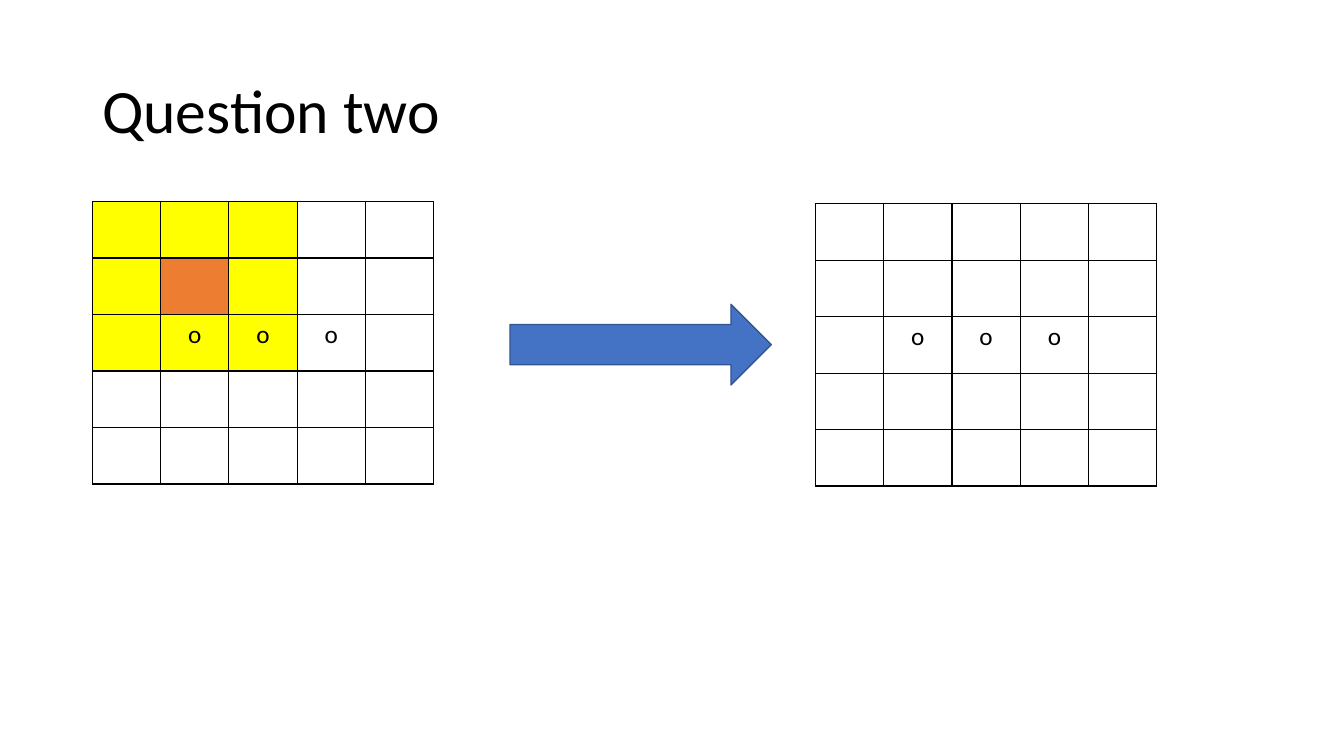
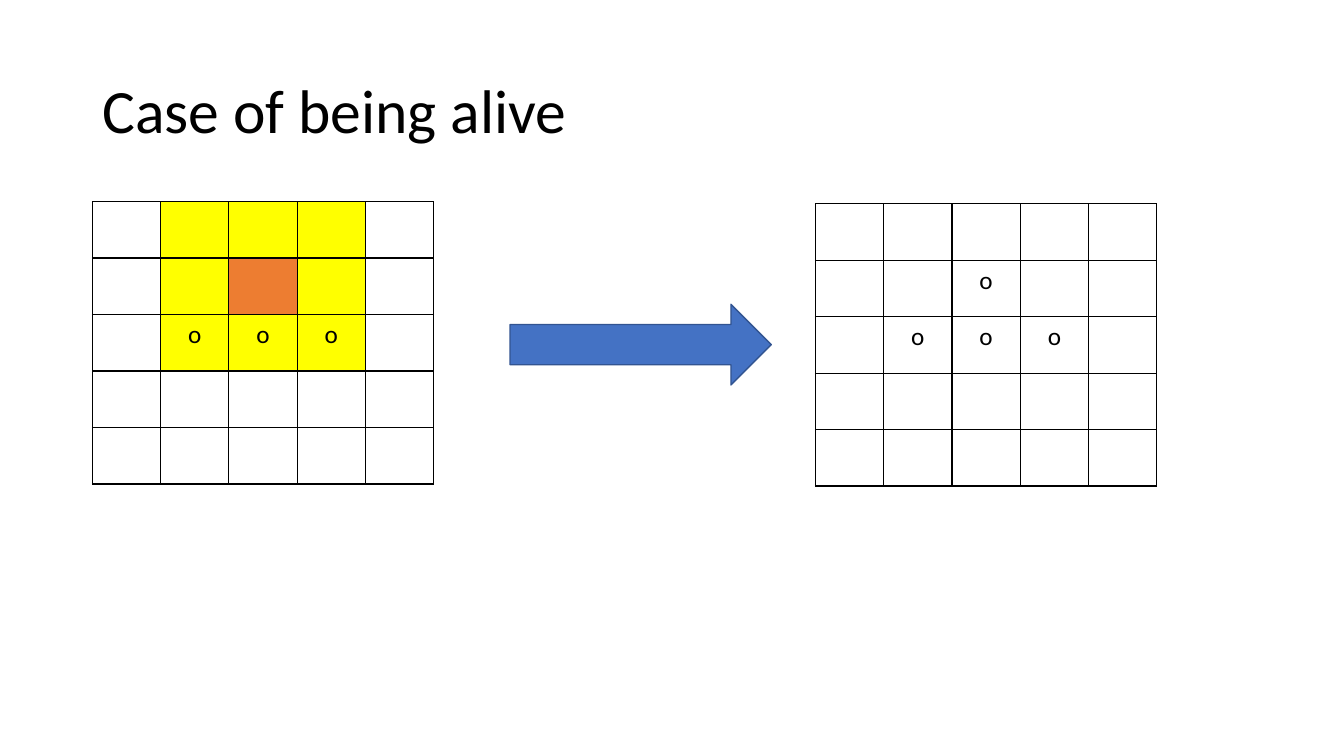
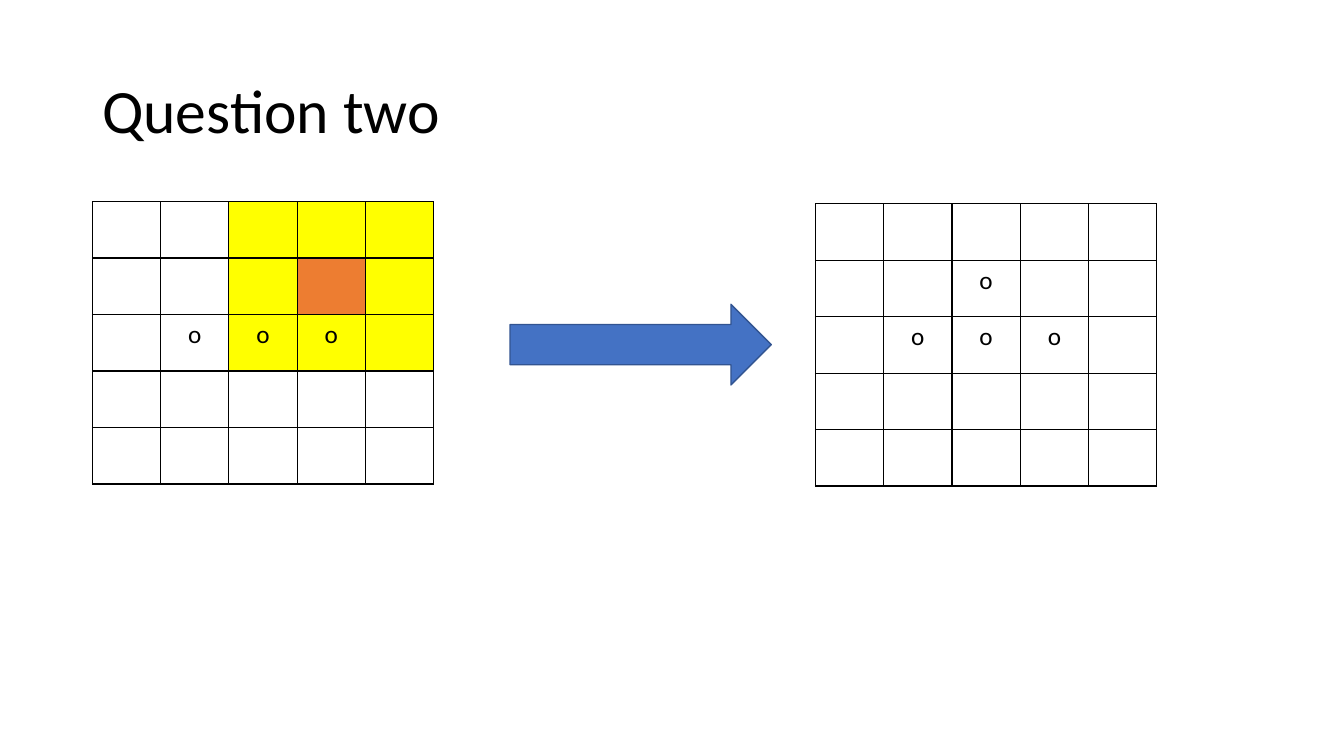
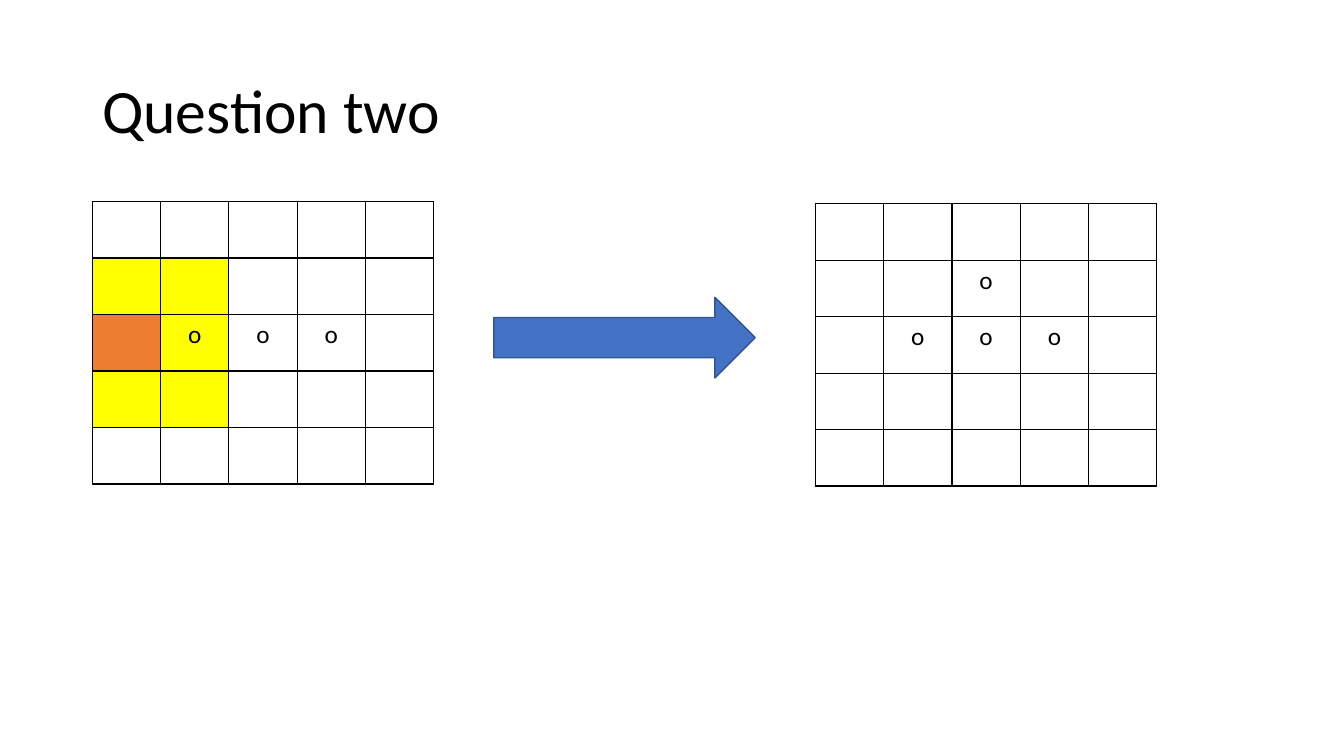
from itertools import product

from lxml.etree import SubElement
from pptx import Presentation
from pptx.dml.color import RGBColor
from pptx.enum.shapes import MSO_SHAPE
from pptx.enum.text import MSO_ANCHOR, PP_ALIGN
from pptx.oxml.ns import qn
from pptx.util import Pt

COLORS = {
    "text": "000000",
    "grid": "000000",
    "focus": "ED7D31",
    "neighbour": "FFFF00",
    "arrow": "4472C4",
    "arrow_line": "325491",
}
FONT = "Calibri"
GRID_SIZE = 5
CELL_WIDTH, CELL_HEIGHT = 48.77, 40.36
BEFORE_POSITION = (66, 144)
AFTER_POSITION = (582.5, 145.5)
ARROW_POSITION = (364.3, 217.4)

ROW_OF_THREE = {(2, 1), (2, 2), (2, 3)}
WITH_BIRTH = ROW_OF_THREE | {(1, 2)}

# Title, focus cell (row, column), live cells afterwards, arrow position
STEPS = [
    ("Question two", (1, 1), ROW_OF_THREE, ARROW_POSITION),
    ("Case of being alive", (1, 2), WITH_BIRTH, ARROW_POSITION),
    ("Question two", (1, 3), WITH_BIRTH, ARROW_POSITION),
    ("Question two", (2, 0), WITH_BIRTH, (352.8, 212.4)),
]


def color(name):
    """Return the named colour."""
    return RGBColor.from_string(COLORS[name])


def format_text(paragraph, size):
    """Apply the shared font and colour to a paragraph's runs."""
    for run in paragraph.runs:
        run.font.name = FONT
        run.font.size = Pt(size)
        run.font.color.rgb = color("text")


def add_title(slide, text):
    """Add the slide title."""
    box = slide.shapes.add_textbox(Pt(66), Pt(28.75), Pt(828), Pt(104.4))
    text_frame = box.text_frame
    text_frame.word_wrap = True
    text_frame.vertical_anchor = MSO_ANCHOR.MIDDLE
    text_frame.text = text
    paragraph = text_frame.paragraphs[0]
    paragraph.line_spacing = 0.9
    format_text(paragraph, 44)


def add_borders(cell):
    """Draw a thin line on all four sides of a cell."""
    properties = cell._tc.get_or_add_tcPr()
    for index, side in enumerate(("a:lnL", "a:lnR", "a:lnT", "a:lnB")):
        line = SubElement(properties, qn(side), w=str(Pt(1)))
        fill = SubElement(line, qn("a:solidFill"))
        SubElement(fill, qn("a:srgbClr"), val=COLORS["grid"])
        properties.insert(index, line)


def cell_role(position, focus):
    """Tell whether a cell is the focus, its neighbour or neither."""
    if focus is None:
        return None
    distance = max(abs(a - b) for a, b in zip(position, focus))
    return {0: "focus", 1: "neighbour"}.get(distance)


def fill_cell(cell, role):
    """Fill a cell by its role, or leave it clear."""
    if role:
        cell.fill.solid()
        cell.fill.fore_color.rgb = color(role)
    else:
        cell.fill.background()


def add_grid(slide, position, live_cells, focus=None):
    """Add a grid with live cells, and the focus neighbourhood if given."""
    left, top = position
    table = slide.shapes.add_table(
        GRID_SIZE, GRID_SIZE, Pt(left), Pt(top),
        Pt(GRID_SIZE * CELL_WIDTH), Pt(GRID_SIZE * CELL_HEIGHT),
    ).table
    table.first_row = False
    table.horz_banding = False
    for column in table.columns:
        column.width = Pt(CELL_WIDTH)
    for row in table.rows:
        row.height = Pt(CELL_HEIGHT)
    for place in product(range(GRID_SIZE), repeat=2):
        cell = table.cell(*place)
        fill_cell(cell, cell_role(place, focus))
        add_borders(cell)
        if place in live_cells:
            cell.text_frame.text = "o"
            paragraph = cell.text_frame.paragraphs[0]
            paragraph.alignment = PP_ALIGN.CENTER
            format_text(paragraph, 18)


def add_arrow(slide, position):
    """Add the block arrow between the two grids."""
    left, top = position
    arrow = slide.shapes.add_shape(
        MSO_SHAPE.RIGHT_ARROW, Pt(left), Pt(top), Pt(186.6), Pt(57.6))
    arrow.shadow.inherit = False
    arrow.fill.solid()
    arrow.fill.fore_color.rgb = color("arrow")
    arrow.line.color.rgb = color("arrow_line")
    arrow.line.width = Pt(1)


def main():
    """Build one slide for each step and save the presentation."""
    presentation = Presentation()
    presentation.slide_width = Pt(960)
    presentation.slide_height = Pt(540)
    blank_layout = presentation.slide_layouts[6]
    for title, focus, live_after, arrow_position in STEPS:
        slide = presentation.slides.add_slide(blank_layout)
        add_title(slide, title)
        add_grid(slide, BEFORE_POSITION, ROW_OF_THREE, focus)
        add_grid(slide, AFTER_POSITION, live_after)
        add_arrow(slide, arrow_position)
    presentation.save("out.pptx")


main()
